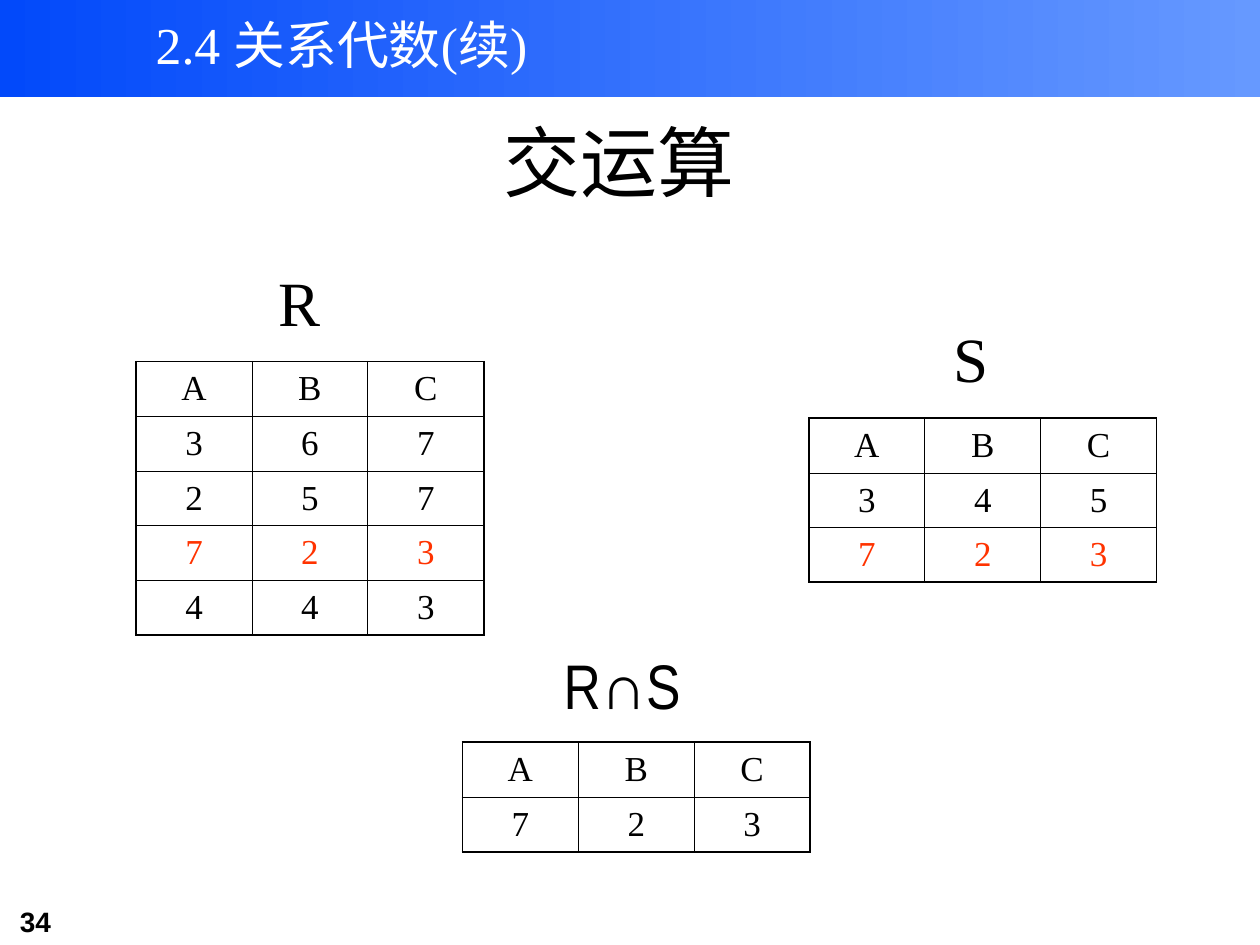
from pptx import Presentation
from pptx import util as u
from pptx.dml.color import RGBColor
from pptx.enum import shapes, text
from pptx.oxml import parse_xml
from pptx.oxml.ns import nsdecls

SERIF = "Times New Roman"
MIDDLE = text.MSO_ANCHOR.MIDDLE


def rgb(value):
    return RGBColor.from_string(value)


def assign(obj, values):
    for name, value in values.items():
        setattr(obj, name, value)


class SlideBuilder:
    black, white, red = "000000", "FFFFFF", "FF3300"
    thin, thick = 0.45, 1.08
    column = 0.92
    margins = {
        "margin_left": u.Inches(0.1), "margin_right": u.Inches(0.1),
        "margin_top": u.Inches(0.05), "margin_bottom": u.Inches(0.05),
    }

    def __init__(self, prs):
        self.s = prs.slides.add_slide(prs.slide_layouts[6])

    def banner(self, left, top, width, height, colors):
        box = map(u.Inches, (left, top, width, height))
        sp = self.s.shapes.add_shape(shapes.MSO_SHAPE.RECTANGLE, *box)
        sp.shadow.inherit = False
        sp.line.fill.background()
        sp.fill.gradient()
        sp.fill.gradient_angle = 0
        for stop, color in zip(sp.fill.gradient_stops, colors):
            stop.color.rgb = rgb(color)

    def add_words(self, p, words, size, font=SERIF, color=black, bold=False,
                  align=text.PP_ALIGN.CENTER):
        p.alignment = align
        r = p.add_run()
        r.text = words
        assign(r.font, {"size": u.Pt(size), "name": font, "bold": bold})
        r.font.color.rgb = rgb(color)

    def label(self, left, top, width, height, words, size,
              anchor=text.MSO_ANCHOR.TOP, wrap=True, **style):
        box = map(u.Inches, (left, top, width, height))
        tf = self.s.shapes.add_textbox(*box).text_frame
        assign(tf, {"word_wrap": wrap, "vertical_anchor": anchor, **self.margins})
        self.add_words(tf.paragraphs[0], words, size, **style)

    def borders(self, cell, edges):
        tcPr = cell._tc.get_or_add_tcPr()
        for side, outer in edges.items():
            width = u.Pt(self.thick if outer else self.thin)
            tcPr.append(parse_xml(
                f'<a:ln{side} {nsdecls("a")} w="{width}"><a:solidFill>'
                f'<a:srgbClr val="{self.black}"/></a:solidFill></a:ln{side}>'))

    def relation(self, left, top, height, rows, shared=None):
        n, m = len(rows), len(rows[0])
        box = map(u.Inches, (left, top, self.column * m, height))
        table = self.s.shapes.add_table(n, m, *box).table
        assign(table, {"first_row": False, "horz_banding": False})
        for col in table.columns:
            col.width = u.Inches(self.column)
        for i, row in enumerate(rows):
            table.rows[i].height = u.Inches(height / n)
            for j, value in enumerate(row):
                cell = table.cell(i, j)
                assign(cell, {"vertical_anchor": MIDDLE, **self.margins})
                self.borders(cell, {"L": j == 0, "R": j == m - 1,
                                    "T": i == 0, "B": i == n - 1})
                cell.fill.background()
                color = self.red if row == shared else self.black
                self.add_words(cell.text_frame.paragraphs[0], value, 20, color=color)


def main():
    prs = Presentation()
    assign(prs, {"slide_width": u.Inches(10), "slide_height": u.Inches(7.5)})
    b = SlideBuilder(prs)

    b.banner(0, 0, 10, 0.77, ("0249FA", "6699FF"))
    b.label(0.06, 7.13, 1.22, 0.37, "34", 16, font="Arial", bold=True,
            align=text.PP_ALIGN.LEFT)
    b.label(0.92, 0.01, 3.58, 0.67, "2.4 关系代数(续)", 29.6, anchor=MIDDLE,
            wrap=False, color=b.white)
    b.label(3.5, 0.83, 2.83, 0.86, "交运算", 44, anchor=text.MSO_ANCHOR.BOTTOM)

    b.relation(1.08, 2.87, 2.17, ["ABC", "367", "257", "723", "443"], shared="723")
    b.label(1.92, 2.04, 0.92, 0.7, "R", 36)
    b.relation(6.42, 3.32, 1.3, ["ABC", "345", "723"], shared="723")
    b.label(7.25, 2.49, 0.92, 0.7, "S", 36)
    b.relation(3.67, 5.89, 0.87, ["ABC", "723"])
    b.label(4.33, 5.08, 1.33, 0.7, "R∩S ", 36, font="Arial Narrow")

    prs.save("out.pptx")


if __name__ == "__main__":
    main()
